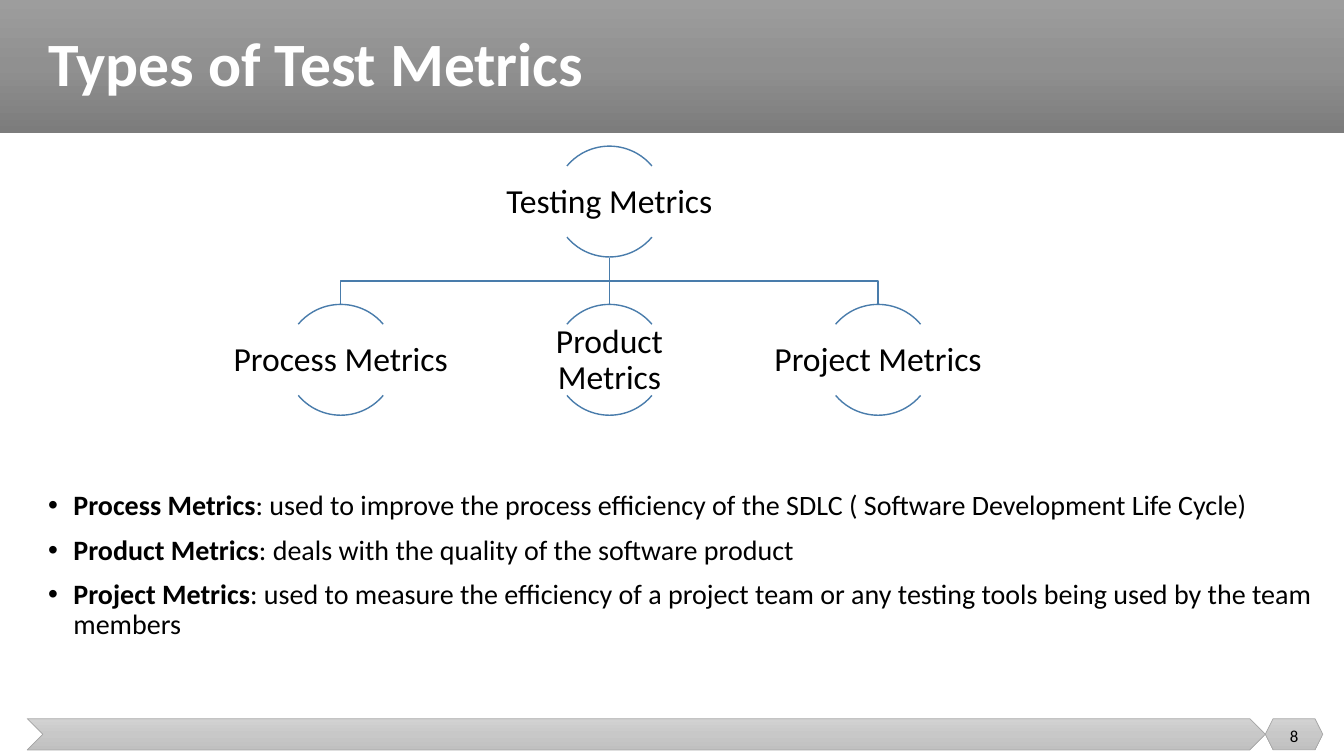
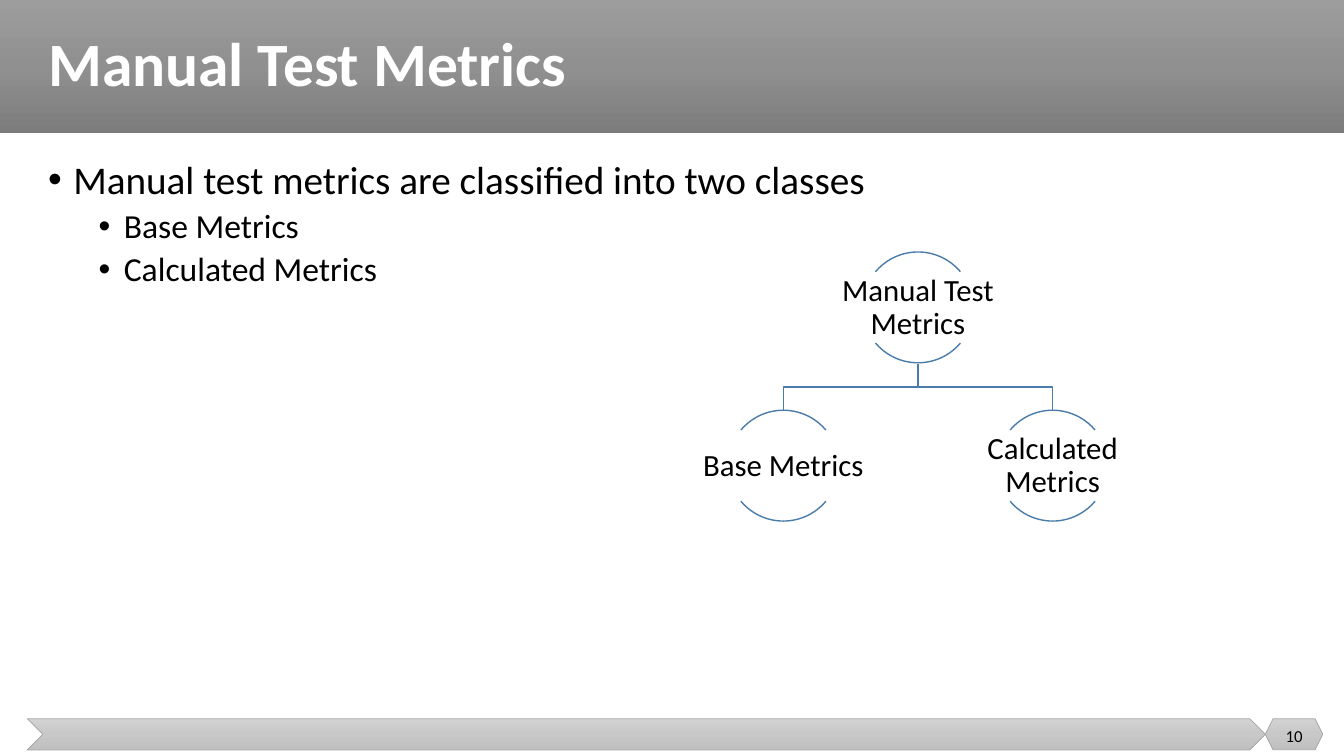
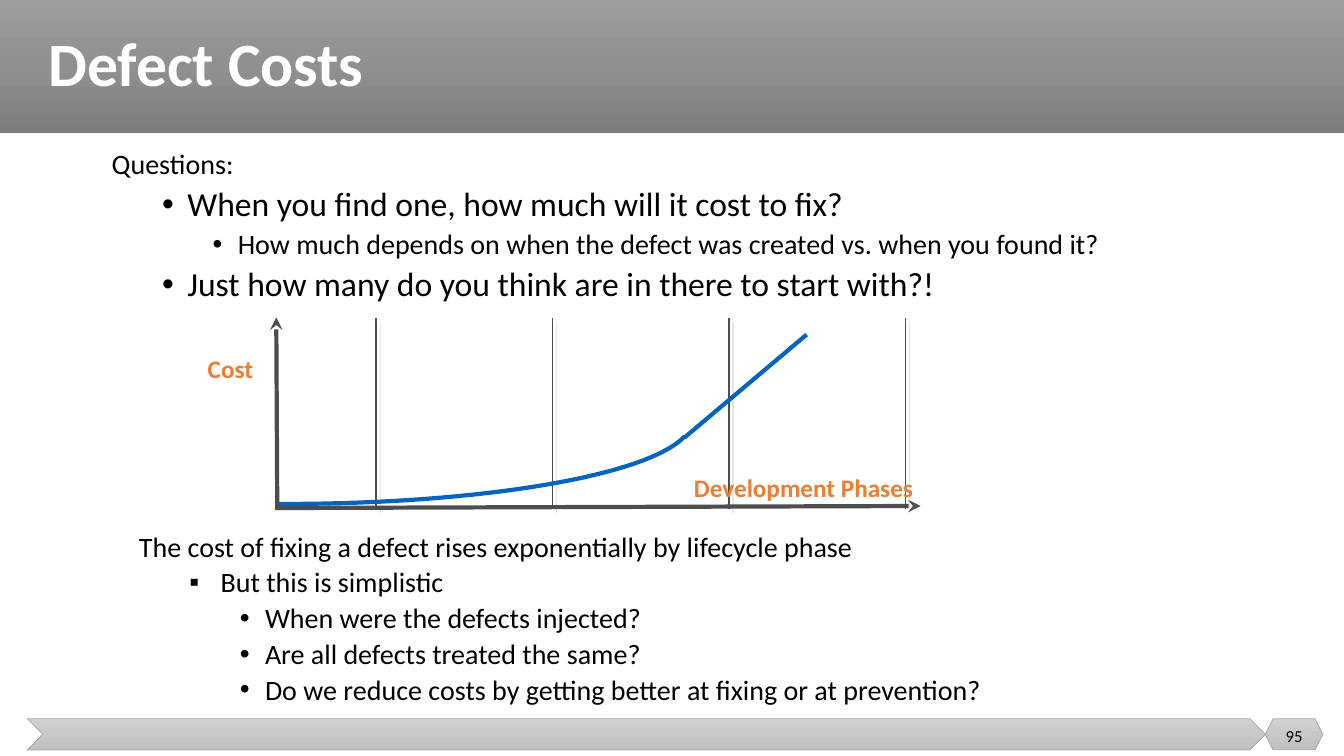
from copy import deepcopy
from dataclasses import dataclass
from typing import NamedTuple

from lxml.etree import SubElement
from pptx import Presentation
from pptx.dml.color import RGBColor
from pptx.enum.shapes import MSO_CONNECTOR as Link, MSO_SHAPE as Preset
from pptx.enum.text import MSO_ANCHOR as Anchor, PP_ALIGN as Align
from pptx.oxml.ns import qn
from pptx.util import Emu, Pt

EMU_PER_PX = 9144


@dataclass(frozen=True)
class Theme:
    """Colours, font and type sizes shared by all slides."""
    font: str = "Calibri"
    band: tuple = ("9D9D9D", "909090", "7C7C7C")
    footer: tuple = ("D2D2D2", "C8C8C8", "C0C0C0")
    footer_edge: str = "A5A5A5"
    ink: str = "000000"
    paper: str = "FFFFFF"
    tree: str = "497CAB"
    axis: str = "4D4D4D"
    axis_shadow: str = "E7E6E6"
    curve: str = "0563C1"
    accent: str = "ED7D31"
    title: int = 44
    lead: int = 28
    large: int = 24
    node: int = 22
    body: int = 20
    label: int = 18
    number: int = 12


THEME = Theme()


class Box(NamedTuple):
    """A region in px."""
    x: int
    y: int
    w: int
    h: int


@dataclass(frozen=True)
class Line:
    """One paragraph with its style; lead is a bold opening."""
    text: str
    size: int = THEME.body
    lead: str = ""
    bullet: str = ""
    level: int = 0
    margin: int = 0
    hang: int = 25
    before: int = 0
    spacing: float = 0.9
    color: str = THEME.ink
    bold: bool = False


TITLE = Box(38, 0, 1274, 132)
BAND = Box(0, 0, 1333, 132)
FOOTER = Box(27, 713, 1228, 31)
BADGE = Box(1255, 713, 57, 31)
NUMBER = Box(1255, 710, 57, 40)


def px(length):
    """Turn px into EMU."""
    return Emu(round(length * EMU_PER_PX))


def rgb(code):
    """Turn a hex code into a colour."""
    return RGBColor.from_string(code)


def style_run(run, line, bold):
    """Apply a paragraph's type style to one run."""
    run.font.name = THEME.font
    run.font.size = Pt(line.size)
    run.font.bold = bold
    run.font.color.rgb = rgb(line.color)


def write(slide, box, lines, align=Align.LEFT, anchor=Anchor.TOP, inset=(10, 5)):
    """Place a text box holding the given lines."""
    frame = slide.shapes.add_textbox(*map(px, box)).text_frame
    frame.word_wrap = True
    frame.vertical_anchor = anchor
    frame.margin_left = frame.margin_right = px(inset[0])
    frame.margin_top = frame.margin_bottom = px(inset[1])
    frame.text = "\n".join(line.lead or line.text for line in lines)
    for paragraph, line in zip(frame.paragraphs, lines):
        if line.lead:
            paragraph.add_run().text = line.text
        for index, run in enumerate(paragraph.runs):
            style_run(run, line, line.bold or bool(line.lead and index == 0))
        paragraph.alignment = align
        paragraph.level = line.level
        paragraph.line_spacing = line.spacing
        paragraph.space_before = Pt(line.before)
        if line.bullet:
            properties = paragraph._p.get_or_add_pPr()
            properties.set("marL", str(px(line.margin)))
            properties.set("indent", str(px(-line.hang)))
            SubElement(properties, qn("a:buFont")).set("typeface", "Arial")
            SubElement(properties, qn("a:buChar")).set("char", line.bullet)


def outline(shape, color, width):
    """Give a shape a plain line and no shadow."""
    shape.shadow.inherit = False
    shape.line.color.rgb = rgb(color)
    shape.line.width = Pt(width)


def shaded(slide, preset, box, colors, edge=None):
    """Add a shape with a vertical three-stop gradient."""
    shape = slide.shapes.add_shape(preset, *map(px, box))
    shape.shadow.inherit = False
    shape.fill.gradient()
    shape.fill.gradient_angle = 270
    stops = shape.element.spPr.find(".//" + qn("a:gsLst"))
    stops.insert(1, deepcopy(stops[0]))
    for stop, color, position in zip(shape.fill.gradient_stops, colors, (0, 0.5, 1)):
        stop.color.rgb = rgb(color)
        stop.position = position
    if edge:
        outline(shape, edge, 0.5)
    else:
        shape.line.fill.background()


def straight(slide, start, end, color, width, arrow=False, shadow=None):
    """Draw a straight line, with an optional arrowhead or shadow."""
    link = slide.shapes.add_connector(Link.STRAIGHT, *map(px, (*start, *end)))
    link.line.color.rgb = rgb(color)
    link.line.width = Pt(width)
    if arrow:
        SubElement(link.line._get_or_add_ln(), qn("a:tailEnd")).set("type", "stealth")
    effects = SubElement(link.element.spPr, qn("a:effectLst"))
    if shadow:
        cast = SubElement(effects, qn("a:outerShdw"), dist=str(Pt(4.2)),
                          dir="2700000", algn="ctr", rotWithShape="0")
        SubElement(cast, qn("a:srgbClr")).set("val", shadow)


def trace(slide, points, color, width):
    """Draw an open, unfilled outline through the points."""
    start, *rest = [(px(x), px(y)) for x, y in points]
    pen = slide.shapes.build_freeform(*start)
    pen.add_line_segments(rest, close=False)
    path_shape = pen.convert_to_shape()
    path_shape.fill.background()
    outline(path_shape, color, width)


def bezier(a, b, c, d, steps=32):
    """List points along a cubic curve."""
    return [tuple((1 - t) ** 3 * p + 3 * (1 - t) ** 2 * t * q
                  + 3 * (1 - t) * t ** 2 * r + t ** 3 * s
                  for p, q, r, s in zip(a, b, c, d))
            for t in (step / steps for step in range(steps + 1))]


def tree_node(slide, center, top, name, size):
    """Draw a label between an upper and a lower arc."""
    for angles in ((132, 192), (24, 84)):
        arc = slide.shapes.add_shape(Preset.ARC, px(center - 55), px(top), px(110), px(110))
        arc.adjustments[0], arc.adjustments[1] = angles
        arc.fill.background()
        outline(arc, THEME.tree, 1)
    write(slide, Box(center - 110, top + 20, 220, 71), [Line(name, size)],
          Align.CENTER, Anchor.MIDDLE, (2, 2))


def metric_tree(slide, box, root, leaves, size):
    """Draw a root with evenly spaced leaves below it."""
    root_center = box.x + box.w / 2
    pitch = (box.w - 220) / (len(leaves) - 1)
    fork_top, leaf_top = box.y + 111, box.y + box.h - 110
    fork = (fork_top + leaf_top) / 2
    centers = [box.x + 110 + index * pitch for index in range(len(leaves))]
    for center in centers:
        if center == root_center:
            straight(slide, (center, fork_top), (center, leaf_top), THEME.tree, 1)
        else:
            trace(slide, [(root_center, fork_top), (root_center, fork),
                          (center, fork), (center, leaf_top)], THEME.tree, 1)
    tree_node(slide, root_center, box.y, root, size)
    for center, leaf in zip(centers, leaves):
        tree_node(slide, center, leaf_top, leaf, size)


def cost_curve(slide, box):
    """Sketch defect cost rising over the development phases."""
    def at(x, y):
        """Shift a point into the box."""
        return box.x + x, box.y + y

    for phase in range(4):
        x = 98 + 175 * phase
        straight(slide, at(x, box.h), at(x, 0), THEME.axis, 1, shadow=THEME.axis_shadow)
    straight(slide, at(404, 119), at(525, 17), THEME.curve, 3)
    rise = bezier(at(8, 185), at(202, 185), at(368, 157), at(404, 118))
    trace(slide, [at(0, 185), *rise], THEME.curve, 3)
    straight(slide, at(0, box.h + 1), at(-1, 0), THEME.axis, 3, arrow=True)
    straight(slide, at(1, box.h - 1), at(box.w, box.h - 3), THEME.axis, 3, arrow=True)
    for name, corner, width, align in (
            ("Cost", at(-78, 35), 80, Align.LEFT),
            ("Development Phases", at(357, 153), 330, Align.CENTER)):
        write(slide, Box(*corner, width, 35),
              [Line(name, THEME.label, color=THEME.accent, bold=True)], align, inset=(9, 4))


def new_slide(deck, title, number):
    """Add a slide with title band, footer and page number."""
    slide = deck.slides.add_slide(deck.slide_layouts[6])
    shaded(slide, Preset.RECTANGLE, BAND, THEME.band)
    shaded(slide, Preset.CHEVRON, FOOTER, THEME.footer, THEME.footer_edge)
    shaded(slide, Preset.HEXAGON, BADGE, THEME.footer, THEME.footer_edge)
    write(slide, TITLE, [Line(title, THEME.title, color=THEME.paper, bold=True)],
          anchor=Anchor.MIDDLE)
    write(slide, NUMBER, [Line(str(number), THEME.number, spacing=1.0)],
          Align.CENTER, Anchor.MIDDLE)
    return slide


def bullet(text, level=0, size=THEME.body, lead=""):
    """Make a standard bullet line for a level."""
    return Line(text, size, lead, "•", level, 25 + 50 * level, before=5 if level else 10)


def types_slide(deck):
    """Build the slide on types of test metrics."""
    slide = new_slide(deck, "Types of Test Metrics", 8)
    uses = {
        "Process Metrics": ": used to improve the process efficiency of the SDLC "
                           "( Software Development Life Cycle)",
        "Product Metrics": ": deals with the quality of the software product",
        "Project Metrics": ": used to measure the efficiency of a project team or any "
                           "testing tools being used by the team members",
    }
    metric_tree(slide, Box(228, 145, 753, 267), "Testing Metrics", list(uses), THEME.large)
    write(slide, Box(38, 483, 1274, 210),
          [bullet(use, lead=metric) for metric, use in uses.items()])


def manual_slide(deck):
    """Build the slide on manual test metrics."""
    slide = new_slide(deck, "Manual Test Metrics", 10)
    classes = ["Base Metrics", "Calculated Metrics"]
    write(slide, Box(38, 154, 1274, 519),
          [bullet("Manual test metrics are classified into two classes", size=THEME.lead),
           *(bullet(name, 1, THEME.large) for name in classes)])
    metric_tree(slide, Box(667, 250, 487, 267), "Manual Test Metrics", classes, THEME.node)


def costs_slide(deck):
    """Build the slide on defect costs."""
    slide = new_slide(deck, "Defect Costs", 95)
    write(slide, Box(101, 144, 1055, 182), [
        Line("Questions:", before=10),
        bullet("When you find one, how much will it cost to fix?", 1, THEME.large),
        bullet("How much depends on when the defect was created vs. when you found it?", 2),
        bullet("Just how many do you think are in there to start with?!", 1, THEME.large),
    ])
    cost_curve(slide, Box(275, 315, 638, 190))
    doubts = ("When were the defects injected?", "Are all defects treated the same?",
              "Do we reduce costs by getting better at fixing or at prevention?")
    write(slide, Box(128, 520, 958, 208), [
        Line("The cost of fixing a defect rises exponentially by lifecycle phase",
             before=4, spacing=1.0),
        Line("But this is simplistic", bullet="▪", level=1, margin=81, hang=31, before=4),
        *(Line(doubt, bullet="•", level=2, margin=125, before=4) for doubt in doubts),
    ])


def main():
    """Build and save the deck."""
    deck = Presentation()
    deck.slide_width, deck.slide_height = px(1333), px(750)
    for build in (types_slide, manual_slide, costs_slide):
        build(deck)
    deck.save("out.pptx")


if __name__ == "__main__":
    main()
